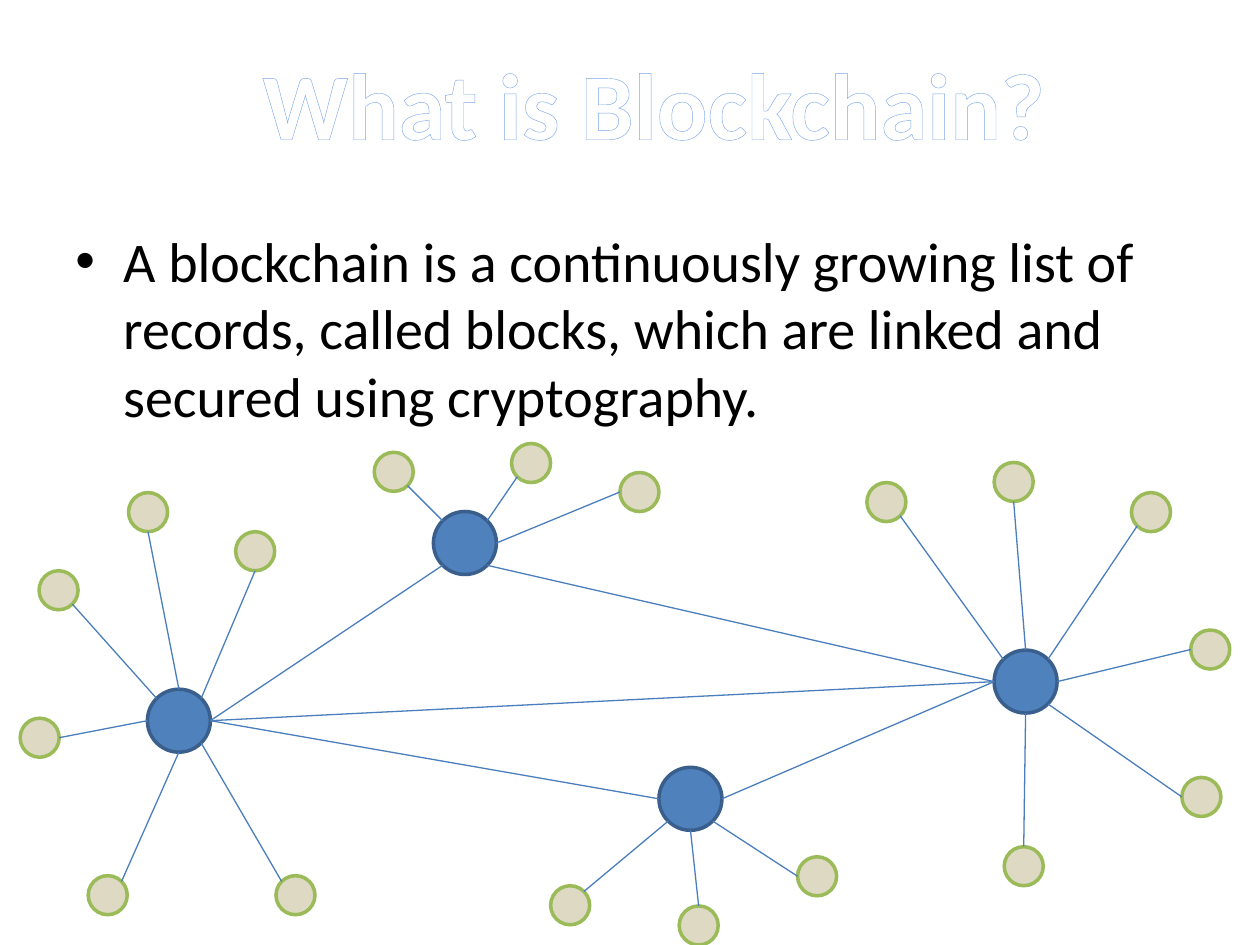
"""Builds a slide that explains a blockchain with a network of hubs and nodes."""
from math import hypot

from lxml import etree
from pptx import Presentation
from pptx.dml.color import RGBColor
from pptx.enum.shapes import MSO_CONNECTOR as Connector, MSO_SHAPE as Shape
from pptx.enum.text import MSO_AUTO_SIZE as AutoSize, PP_ALIGN as Align
from pptx.oxml import parse_xml
from pptx.oxml.ns import nsdecls, qn
from pptx.util import Inches, Pt

TITLE = "What is Blockchain?"
BODY = ("A blockchain is a continuously growing list of records, called blocks, "
        "which are linked and secured using cryptography.")
FONT = "Calibri"
HUB_SIZE, NODE_SIZE = 0.5, 0.31
HUB_COLORS = ("4F81BD", "3A5F8C")
NODE_COLORS = ("DDD9C3", "9BBB59")
LINK_COLOR = "4B7EBC"

HUBS = {"left": (1.17, 5.47), "top": (3.44, 4.06),
        "bottom": (5.23, 6.09), "right": (7.89, 5.16)}
NODES = {
    "left": [(1.02, 3.91, "N", "S"), (1.87, 4.22, "NE", "S"), (0.31, 4.53, "NW", "SE"),
             (0.16, 5.7, "W", "E"), (0.7, 6.95, "S", "NE"), (2.19, 6.95, "SE", "NW")],
    "top": [(2.97, 3.59, "NW", "SE"), (4.06, 3.52, "NE", "SW"), (4.92, 3.75, "E", "W")],
    "bottom": [(4.37, 7.03, "SW", "NE"), (5.39, 7.19, "S", "N"), (6.33, 6.8, "SE", "W")],
    "right": [(9.38, 6.17, "SE", "W"), (9.45, 5, "E", "W"), (8.98, 3.91, "NE", "SW"),
              (7.89, 3.67, "N", "S"), (6.88, 3.83, "NW", "SE"), (7.97, 6.72, "S", "N")],
}
HUB_LINKS = [("left", "E", "top", "SW"), ("left", "E", "bottom", "W"),
             ("left", "E", "right", "W"), ("top", "SE", "right", "W"),
             ("bottom", "E", "right", "W")]


def color(value):
    return RGBColor.from_string(value)


def rim_point(corner, size, direction):
    """Returns the point on a circle's rim in a compass direction."""
    dx = ("E" in direction) - ("W" in direction)
    dy = ("S" in direction) - ("N" in direction)
    radius, length = size / 2, hypot(dx, dy)
    return (corner[0] + radius + radius * dx / length,
            corner[1] + radius + radius * dy / length)


def add_circle(slide, corner, size, colors):
    fill, line = colors
    circle = slide.shapes.add_shape(Shape.FLOWCHART_CONNECTOR,
                                    *map(Inches, (*corner, size, size)))
    circle.shadow.inherit = False
    circle.fill.solid()
    circle.fill.fore_color.rgb = color(fill)
    circle.line.color.rgb = color(line)
    circle.line.width = Pt(2)


def add_link(slide, start, end):
    link = slide.shapes.add_connector(Connector.STRAIGHT, *map(Inches, (*start, *end)))
    link.line.color.rgb = color(LINK_COLOR)
    link.line.width = Pt(0.75)
    etree.SubElement(link._element.spPr, qn("a:effectLst"))


def add_text(slide, box, text, size, font_color):
    frame = slide.shapes.add_textbox(*map(Inches, box)).text_frame
    frame.text = text
    paragraph = frame.paragraphs[0]
    font = paragraph.runs[0].font
    font.name, font.size = FONT, Pt(size)
    font.color.rgb = color(font_color)
    return frame, paragraph


def add_body(slide):
    frame, paragraph = add_text(slide, (0.5, 1.75, 9, 1.84), BODY, 32, "000000")
    frame.word_wrap = True
    paragraph.space_before = Pt(6.4)
    properties = paragraph._p.get_or_add_pPr()
    properties.set("marL", str(Inches(0.38)))
    properties.set("indent", str(Inches(-0.38)))
    bullet_font = etree.SubElement(properties, qn("a:buFont"))
    bullet_font.set("typeface", "Arial")
    etree.SubElement(properties, qn("a:buChar")).set("char", "•")


def add_title(slide):
    frame, paragraph = add_text(slide, (1.95, 0.31, 6.48, 1.01), TITLE, 54, "FFFFFF")
    frame.word_wrap = False
    frame.auto_size = AutoSize.SHAPE_TO_FIT_TEXT
    paragraph.alignment = Align.CENTER
    run = paragraph.runs[0]
    run.font.bold = True
    outline = parse_xml(f'<a:ln {nsdecls("a")} w="{Pt(2.48)}"><a:solidFill>'
                        '<a:srgbClr val="7EA6EA"/></a:solidFill></a:ln>')
    run._r.get_or_add_rPr().insert(0, outline)


def add_network(slide):
    for corner in HUBS.values():
        add_circle(slide, corner, HUB_SIZE, HUB_COLORS)
    links = []
    for hub, nodes in NODES.items():
        for x, y, hub_side, node_side in nodes:
            add_circle(slide, (x, y), NODE_SIZE, NODE_COLORS)
            links.append((rim_point(HUBS[hub], HUB_SIZE, hub_side),
                          rim_point((x, y), NODE_SIZE, node_side)))
    for first, first_side, second, second_side in HUB_LINKS:
        links.append((rim_point(HUBS[first], HUB_SIZE, first_side),
                      rim_point(HUBS[second], HUB_SIZE, second_side)))
    for start, end in links:
        add_link(slide, start, end)


def main():
    presentation = Presentation()
    presentation.slide_width, presentation.slide_height = Inches(10), Inches(7.5)
    slide = presentation.slides.add_slide(presentation.slide_layouts[6])
    add_body(slide)
    add_title(slide)
    add_network(slide)
    presentation.save("out.pptx")


if __name__ == "__main__":
    main()
